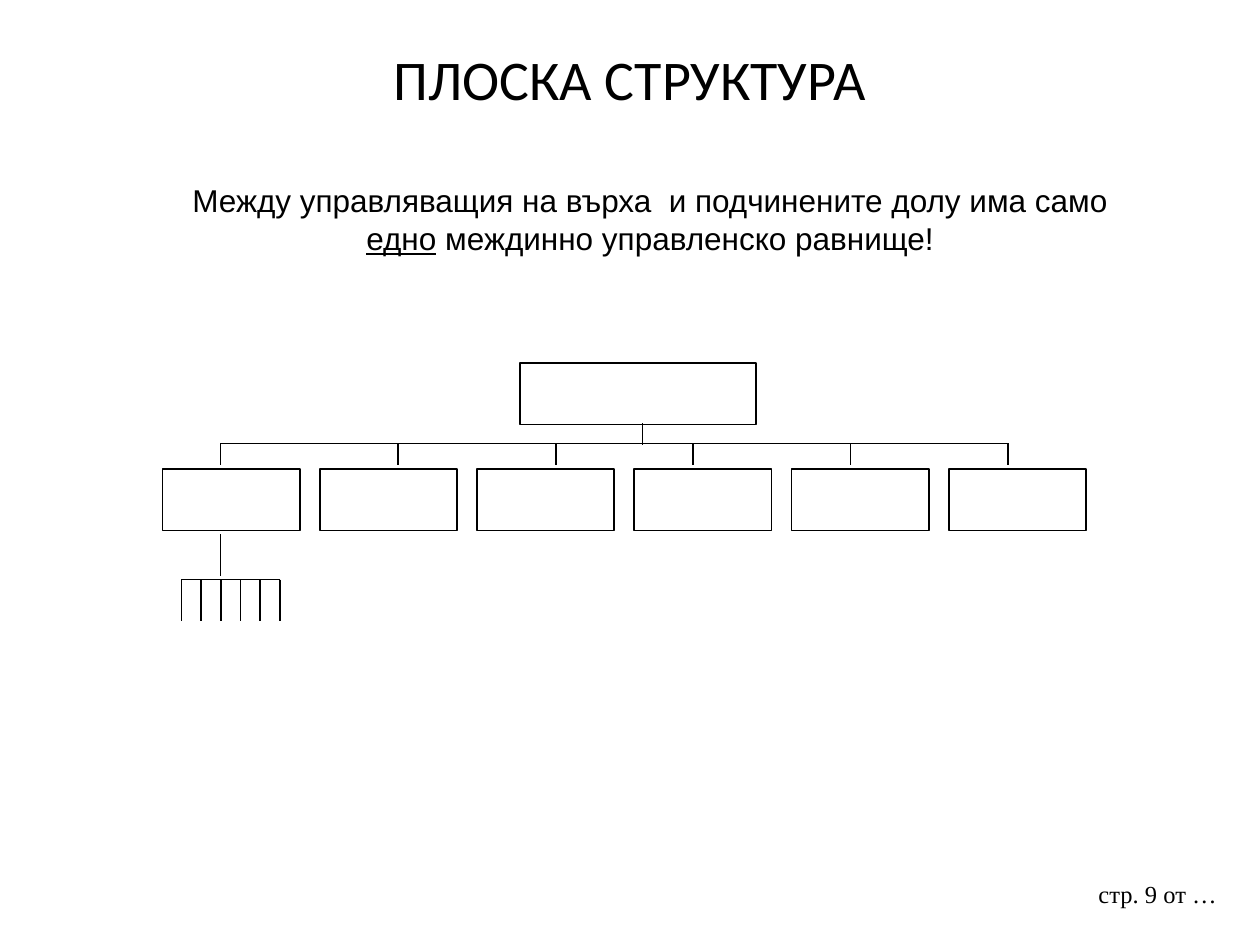
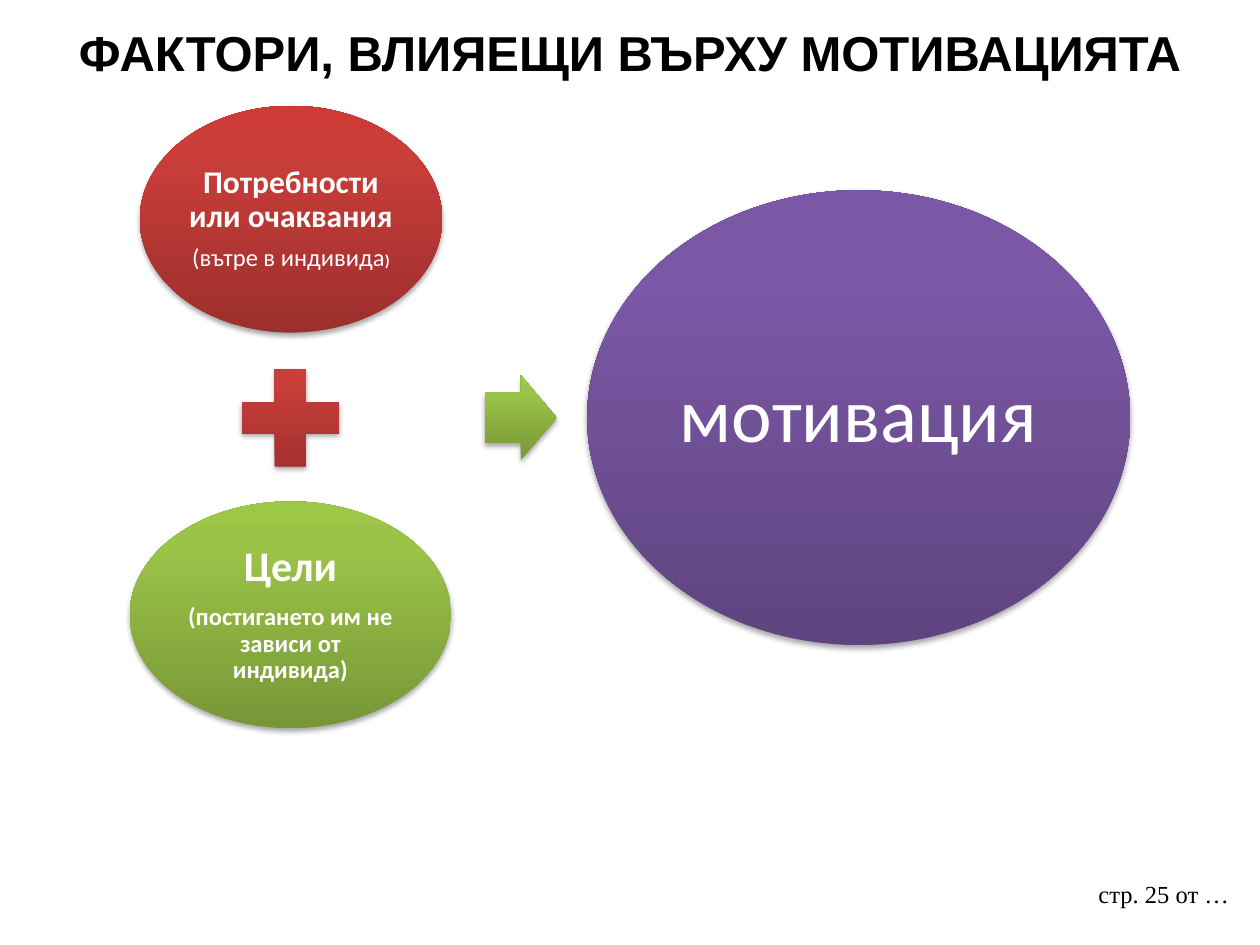
from copy import deepcopy

from lxml import etree
from pptx import Presentation
from pptx.dml.color import RGBColor
from pptx.enum.shapes import MSO_CONNECTOR, MSO_SHAPE
from pptx.enum.text import MSO_ANCHOR, PP_ALIGN
from pptx.oxml import parse_xml
from pptx.oxml.ns import nsdecls, qn
from pptx.util import Inches, Pt

BLACK = RGBColor(0x00, 0x00, 0x00)
WHITE = RGBColor(0xFF, 0xFF, 0xFF)
# Gradients run from the bottom (dark) to the top (light)
RED = [RGBColor(0x9C, 0x2F, 0x2D), RGBColor(0xCB, 0x3E, 0x3A), RGBColor(0xCE, 0x3B, 0x37)]
GREEN = [RGBColor(0x77, 0x97, 0x37), RGBColor(0x9B, 0xC3, 0x48), RGBColor(0x9D, 0xC7, 0x46)]
PURPLE = [RGBColor(0x5F, 0x44, 0x80), RGBColor(0x7B, 0x58, 0xA6), RGBColor(0x7C, 0x57, 0xA8)]
STOPS = [0, 0.8, 1]

RECTANGLE, ELLIPSE = MSO_SHAPE.RECTANGLE, MSO_SHAPE.OVAL
PLUS, ARROW = MSO_SHAPE.MATH_PLUS, MSO_SHAPE.RIGHT_ARROW
STRAIGHT = MSO_CONNECTOR.STRAIGHT
CENTER, LEFT = PP_ALIGN.CENTER, PP_ALIGN.LEFT
MIDDLE = MSO_ANCHOR.MIDDLE

SHADOW = (
    f'<a:outerShdw {nsdecls("a")} blurRad="39370" dist="22860" dir="5400000" rotWithShape="0">'
    '<a:srgbClr val="000000"><a:alpha val="35000"/></a:srgbClr></a:outerShdw>'
)


def add_text(slide, box, runs, font_name, size, align=CENTER, bold=False):
    """Add a one-paragraph text box; runs are (text, underlined) pairs."""
    frame = slide.shapes.add_textbox(*map(Inches, box)).text_frame
    frame.word_wrap = True
    paragraph = frame.paragraphs[0]
    paragraph.alignment = align
    paragraph.font.name = font_name
    paragraph.font.size = Pt(size)
    paragraph.font.bold = bold
    paragraph.font.color.rgb = BLACK
    for text, underlined in runs:
        run = paragraph.add_run()
        run.text = text
        if underlined:
            run.font.underline = True


prs = Presentation()
prs.slide_width, prs.slide_height = Inches(10), Inches(7.5)
blank = prs.slide_layouts[6]

# Slides with their titles and page footers
pages = [
    (9, "ПЛОСКА СТРУКТУРА", (0.5, 0.3, 9, 1.25), "Calibri", 32, False),
    (25, "ФАКТОРИ, ВЛИЯЕЩИ ВЪРХУ МОТИВАЦИЯТА", (0.12, 0.13, 9.76, 0.57), "Arial", 28, True),
]
slides = []
for number, title, box, font_name, size, bold in pages:
    slide = prs.slides.add_slide(blank)
    add_text(slide, (8.62, 6.93, 1.3, 0.52), [(f"стр. {number} от …", False)],
             "Times New Roman", 14, align=LEFT)
    add_text(slide, box, [(title, False)], font_name, size, bold=bold)
    slides.append(slide)
structure, motivation = slides

# Flat structure: explanation
add_text(structure, (1.3, 1.39, 7.72, 0.7),
         [("Между управляващия на върха  и подчинените долу има само ", False),
          ("едно", True), (" междинно управленско равнище!", False)], "Arial", 18)

# Flat structure: manager on top, six units below
positions = [(4.13, 2.88, 1.87, 0.49)]
positions += [(1.29 + 1.248 * i, 3.72, 1.09, 0.49) for i in range(6)]
for position in positions:
    unit = structure.shapes.add_shape(RECTANGLE, *map(Inches, position))
    unit.shadow.inherit = False
    unit.fill.solid()
    unit.fill.fore_color.rgb = WHITE
    unit.line.color.rgb = BLACK
    unit.line.width = Pt(1)

# Flat structure: branches to the units and to the first unit's subordinates
branches = [
    (5.1, 3.36, 5.1, 3.53),
    (1.75, 3.52, 8, 3.52),
    (1.75, 4.24, 1.75, 4.57),
    (1.44, 4.6, 2.22, 4.6),
]
branches += [(x, 3.52, x, 3.69) for x in (1.75, 3.16, 4.41, 5.5, 6.75, 8)]
branches += [(x, 4.6, x, 4.93) for x in (1.44 + 0.156 * i for i in range(6))]
for ends in branches:
    branch = structure.shapes.add_connector(STRAIGHT, *map(Inches, ends))
    branch.line.color.rgb = BLACK
    branch.line.width = Pt(1)
    etree.SubElement(branch._element.spPr, qn("a:effectLst"))

# Motivation: needs + goals -> motivation; a paragraph is a list of (text, size, bold)
factors = [
    (ELLIPSE, (1.11, 0.84, 2.4, 1.8), RED, 0.03,
     [[("Потребности или очаквания", 18, True)],
      [("(вътре в индивида", 14, False), (")", 9, True)]]),
    (PLUS, (1.78, 2.79, 1.05, 1.05), RED, 0, []),
    (ELLIPSE, (1.03, 3.98, 2.55, 1.8), GREEN, 0.03,
     [[("Цели", 24, True)], [("(постигането им не зависи от индивида)", 14, True)]]),
    (ARROW, (3.85, 2.98, 0.57, 0.67), GREEN, 0, []),
    (ELLIPSE, (4.66, 1.51, 4.31, 3.61), PURPLE, 0.06, [[("мотивация", 44, False)]]),
]
for kind, position, colours, inset, paragraphs in factors:
    factor = motivation.shapes.add_shape(kind, *map(Inches, position))
    if kind == ARROW:
        factor.adjustments[0] = 0.6
    factor.line.fill.background()

    # Three-stop gradient and soft shadow
    factor.fill.gradient()
    factor.fill.gradient_angle = 90
    stop_list = factor._element.spPr.find(".//" + qn("a:gsLst"))
    stop_list.append(deepcopy(stop_list[-1]))
    for stop, offset, colour in zip(factor.fill.gradient_stops, STOPS, colours):
        stop.position = offset
        stop.color.rgb = colour
    factor.shadow.inherit = False
    factor._element.spPr.find(qn("a:effectLst")).append(parse_xml(SHADOW))

    # Text inside the ellipse
    frame = factor.text_frame
    frame.word_wrap = True
    frame.vertical_anchor = MIDDLE
    frame.margin_left = frame.margin_right = Inches(inset)
    frame.margin_top = frame.margin_bottom = Inches(inset)
    for index, runs in enumerate(paragraphs):
        paragraph = frame.add_paragraph() if index else frame.paragraphs[0]
        paragraph.alignment = CENTER
        paragraph.line_spacing = 0.9
        paragraph.space_after = Pt(round(0.35 * runs[0][1]))
        paragraph.font.name = "Calibri"
        paragraph.font.color.rgb = WHITE
        for text, size, bold in runs:
            run = paragraph.add_run()
            run.text = text
            run.font.size = Pt(size)
            run.font.bold = bold

prs.save("out.pptx")
